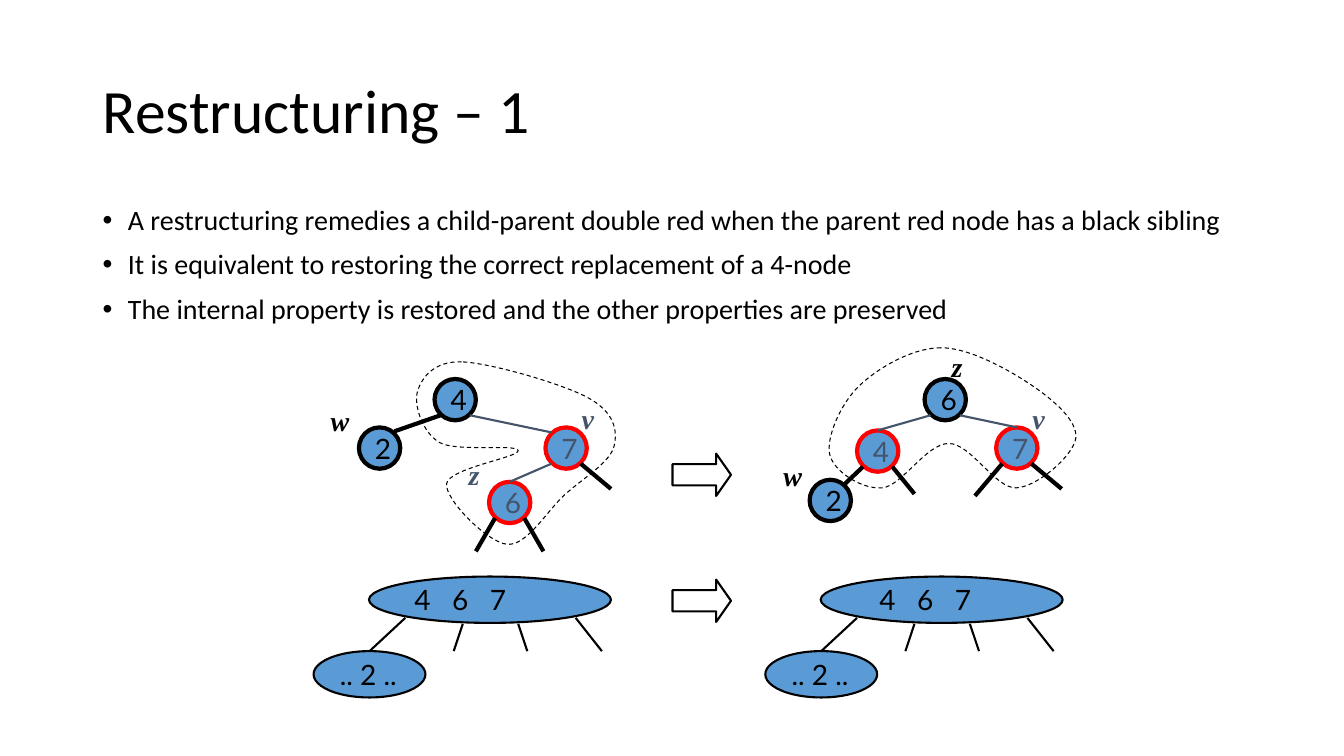
import lxml.etree
import pptx
import pptx.dml.color
import pptx.enum.dml
import pptx.enum.shapes
import pptx.enum.text
import pptx.oxml.ns
import pptx.util

Inches = pptx.util.Inches
Shape = pptx.enum.shapes.MSO_SHAPE
Anchor = pptx.enum.text.MSO_ANCHOR
qn = pptx.oxml.ns.qn
BLACK, SLATE, RED, BLUE = "000000", "44546A", "FF0000", "5B9BD5"
NODE_SIZE = 0.41
FOOT = 0.36  # depth below a node's top where its lower links start
FOOT_X = {"left": 0.06, "right": 0.35}
LABEL_WIDTH = {"z": 0.48, "v": 0.44, "w": 0.55}

BULLETS = [
    "A restructuring remedies a child-parent double red when the parent red node has a black sibling",
    "It is equivalent to restoring the correct replacement of a 4-node",
    "The internal property is restored and the other properties are preserved",
]
# Positions are relative to the tree's box. A link ends at a point or on top of a named node.
BEFORE = {
    "nodes": {"4": (1.31, 0.36, BLACK), "6": (1.85, 1.38, RED),
              "7": (2.41, 0.84, RED), "2": (0.56, 0.84, BLACK)},
    "links": [("4", "right", (2.47, 0.89), SLATE), ("7", "left", "6", SLATE),
              ("6", "right", (2.39, 2.07), BLACK), ("6", "left", (1.72, 2.07), BLACK),
              ("7", "right", (3.06, 1.45), BLACK), ("4", "left", (0.91, 0.88), BLACK)],
    "labels": [("z", 1.55, 1.09, SLATE), ("v", 2.67, 0.53, SLATE), ("w", 0.18, 0.55, BLACK)],
    "outline": [(1.58, 0.19), (1.14, 0.49), (1.36, 0.99), (2.14, 1.07), (1.43, 1.4),
                (2.03, 2.0), (2.6, 1.51), (3.09, 1.03), (2.84, 0.55)],
}
AFTER = {
    "nodes": {"4": (1.0, 0.87, RED), "6": (1.67, 0.36, BLACK),
              "7": (2.38, 0.84, RED), "2": (0.53, 1.36, BLACK)},
    "links": [("6", "left", "4", SLATE), ("6", "right", "7", SLATE),
              ("4", "right", (1.57, 1.5), BLACK), ("4", "left", (0.88, 1.4), BLACK),
              ("7", "left", (2.17, 1.52), BLACK), ("7", "right", (3.03, 1.45), BLACK)],
    "labels": [("z", 1.84, 0.02, BLACK), ("v", 2.64, 0.53, SLATE), ("w", 0.17, 1.1, BLACK)],
    "outline": [(1.83, 0.05), (1.02, 0.43), (0.73, 1.11), (1.25, 1.44),
                (1.91, 1.0), (2.58, 1.44), (3.17, 0.95), (2.73, 0.42)],
}


def color(hex_string):
    return pptx.dml.color.RGBColor.from_string(hex_string)


def style_font(font, name, size, ink):
    font.name = name
    font.size = pptx.util.Pt(size)
    font.color.rgb = color(ink)


def style_shape(shape, fill, ink, weight):
    shape.shadow.inherit = False
    if fill:
        shape.fill.solid()
        shape.fill.fore_color.rgb = color(fill)
    else:
        shape.fill.background()
    shape.line.color.rgb = color(ink)
    shape.line.width = pptx.util.Pt(weight)


def add_oval(slide, left, top, width, height, text, ink, weight, text_ink):
    oval = slide.shapes.add_shape(Shape.OVAL, Inches(left), Inches(top), Inches(width), Inches(height))
    style_shape(oval, BLUE, ink, weight)
    frame = oval.text_frame
    frame.word_wrap = False
    frame.vertical_anchor = Anchor.MIDDLE
    para = frame.paragraphs[0]
    para.text = text
    para.alignment = pptx.enum.text.PP_ALIGN.LEFT
    style_font(para.font, "Lato", 20, text_ink)
    return oval


def add_link(slide, start, end, ink, weight, child=None):
    """Draw a line from start to end, or to the top of the child shape if there is one."""
    x1, y1, x2, y2 = (Inches(value) for value in (*start, *end))
    link = slide.shapes.add_connector(pptx.enum.shapes.MSO_CONNECTOR.STRAIGHT, x1, y1, x2, y2)
    if child is not None:
        link.end_connect(child, 0)
    link.line.color.rgb = color(ink)
    link.line.width = pptx.util.Pt(weight)
    lxml.etree.SubElement(link._element.spPr, qn("a:effectLst"))


def add_label(slide, left, top, text, ink):
    box = slide.shapes.add_textbox(Inches(left), Inches(top), Inches(LABEL_WIDTH[text]), Inches(0.43))
    box.text_frame.word_wrap = True
    para = box.text_frame.paragraphs[0]
    para.text = text
    style_font(para.font, "Times New Roman", 20, ink)
    para.font.bold = para.font.italic = True


def smooth_loop(knots):
    """Return two control points and an end point for each curve of a smooth closed loop."""
    points = []
    count = len(knots)
    for index in range(count):
        before, start, end, after = (knots[(index + shift) % count] for shift in (-1, 0, 1, 2))
        points.append(tuple(s + (e - b) / 6 for b, s, e in zip(before, start, end)))
        points.append(tuple(e - (a - s) / 6 for s, e, a in zip(start, end, after)))
        points.append(end)
    return points


def add_outline(slide, left, top, knots):
    points = [(Inches(left + x), Inches(top + y)) for x, y in [knots[0], *smooth_loop(knots)]]
    builder = slide.shapes.build_freeform(*points[0])
    builder.add_line_segments(points[1:], close=True)
    outline = builder.convert_to_shape()
    segments = list(outline._element.iter(qn("a:lnTo")))
    for first in range(0, len(segments), 3):
        curve = lxml.etree.Element(qn("a:cubicBezTo"))
        segments[first].addprevious(curve)
        for segment in segments[first:first + 3]:
            curve.append(segment[0])
            segment.getparent().remove(segment)
    style_shape(outline, None, BLACK, 0.75)
    outline.line.dash_style = pptx.enum.dml.MSO_LINE.DASH


def add_binary_tree(slide, left, top, tree):
    ovals = {}
    for key, (x, y, ink) in tree["nodes"].items():
        ovals[key] = add_oval(slide, left + x, top + y, NODE_SIZE, NODE_SIZE, key, ink, 3,
                              SLATE if ink == RED else BLACK)
    for key, side, target, ink in tree["links"]:
        x, y, _ = tree["nodes"][key]
        start = (left + x + FOOT_X[side], top + y + FOOT)
        child = ovals.get(target)
        end = start if child is not None else (left + target[0], top + target[1])
        add_link(slide, start, end, ink, 1.5 if ink == SLATE else 3, child)
    for text, x, y, ink in tree["labels"]:
        add_label(slide, left + x, top + y, text, ink)
    add_outline(slide, left, top, tree["outline"])


def add_four_node(slide, left, top, key_shift):
    """Draw a 4-node with its child; key_shift moves the keys to the right."""
    parent = add_oval(slide, left + 0.55, top, 2.4, 0.46, "4\t6\t7", BLACK, 1.5, BLACK)
    parent.text_frame.word_wrap = True
    parent.text_frame.margin_left = Inches(0.1 + key_shift)
    properties = parent.text_frame.paragraphs[0]._p.get_or_add_pPr()
    tabs = lxml.etree.Element(qn("a:tabLst"))
    for number in (1, 2):
        lxml.etree.SubElement(tabs, qn("a:tab"), pos=str(Inches(0.375 * number)), algn="l")
    properties.insert(0, tabs)
    child = add_oval(slide, left, top + 0.74, 1.11, 0.46, ".. 2 ..", BLACK, 1.5, BLACK)
    add_link(slide, (left + 0.91, top + 0.41), (left + 0.55, top + 0.74), BLACK, 1.5, child)
    for x1, y1, x2 in ((1.48, 0.47, 1.39), (2.03, 0.47, 2.12), (2.6, 0.41, 2.86)):
        add_link(slide, (left + x1, top + y1), (left + x2, top + 0.74), BLACK, 1.5)


def add_arrow(slide, left, top):
    arrow = slide.shapes.add_shape(Shape.RIGHT_ARROW, Inches(left), Inches(top), Inches(0.58), Inches(0.42))
    arrow.adjustments[0] = 0.5
    arrow.adjustments[1] = 0.35
    style_shape(arrow, None, BLACK, 1.5)


def set_title(slide, left, top, width, height):
    title = slide.shapes.title
    title.left, title.top, title.width, title.height = map(Inches, (left, top, width, height))
    title.text_frame.vertical_anchor = Anchor.MIDDLE
    para = title.text_frame.paragraphs[0]
    para.text = "Restructuring – 1"
    para.alignment = pptx.enum.text.PP_ALIGN.LEFT
    para.line_spacing = 0.9
    style_font(para.font, "Calibri", 44, BLACK)


def add_bullets(slide, left, top, width, height):
    box = slide.shapes.add_textbox(*map(Inches, (left, top, width, height)))
    frame = box.text_frame
    frame.word_wrap = True
    for index, text in enumerate(BULLETS):
        para = frame.add_paragraph() if index else frame.paragraphs[0]
        para.text = text
        para.line_spacing = 0.9
        para.space_before = pptx.util.Pt(10)
        style_font(para.font, "Calibri", 20, BLACK)
        properties = para._p.get_or_add_pPr()
        properties.set("marL", str(Inches(0.25)))
        properties.set("indent", str(Inches(-0.25)))
        defaults = properties.find(qn("a:defRPr"))
        defaults.addprevious(lxml.etree.Element(qn("a:buFont"), typeface="Arial"))
        defaults.addprevious(lxml.etree.Element(qn("a:buChar"), char="•"))


def main():
    deck = pptx.Presentation()
    deck.slide_width, deck.slide_height = Inches(13.33), Inches(7.5)
    slide = deck.slides.add_slide(deck.slide_layouts[5])
    set_title(slide, 0.92, 0.4, 11.5, 1.45)
    add_bullets(slide, 0.92, 2, 11.5, 4.76)
    add_binary_tree(slide, 3, 3.4, BEFORE)
    add_binary_tree(slide, 7.5, 3.4, AFTER)
    add_four_node(slide, 3.11, 5.72, 0)
    add_four_node(slide, 7.59, 5.72, 0.13)
    for top in (4.5, 5.75):
        add_arrow(slide, 6.67, top)
    deck.save("out.pptx")


if __name__ == "__main__":
    main()
